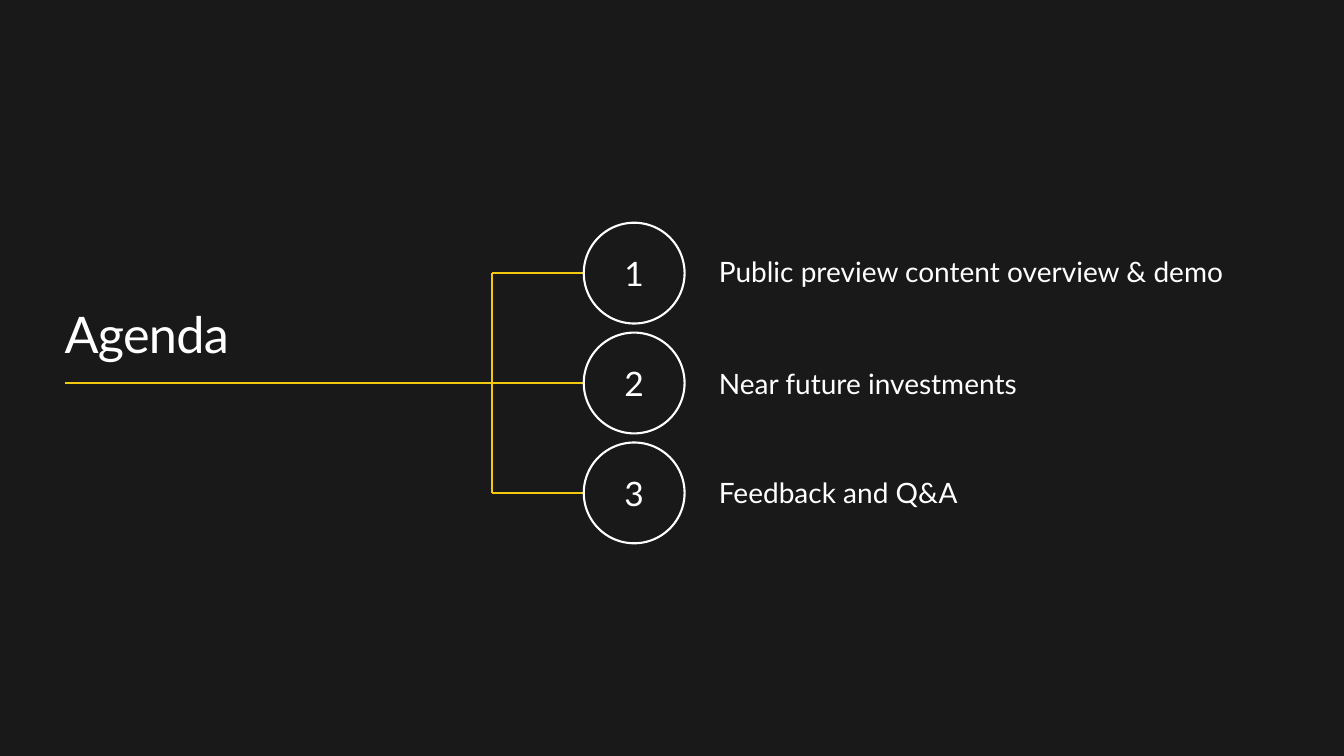
"""Build the agenda slide with a bracket leading to three numbered topics."""
from dataclasses import dataclass

from lxml.etree import SubElement
from pptx import Presentation
from pptx.dml.color import RGBColor
from pptx.enum.shapes import MSO_CONNECTOR, MSO_SHAPE
from pptx.enum.text import MSO_ANCHOR, MSO_AUTO_SIZE, PP_ALIGN
from pptx.oxml.ns import qn
from pptx.util import Inches, Pt


@dataclass(frozen=True)
class Theme:
    """Colours, font and sizes of the slide."""
    background: RGBColor = RGBColor(0x19, 0x19, 0x19)
    text: RGBColor = RGBColor(0xFF, 0xFF, 0xFF)
    accent: RGBColor = RGBColor(0xF2, 0xC8, 0x11)
    font: str = "Lato"
    title_size: Pt = Pt(36)
    number_size: Pt = Pt(24)
    topic_size: Pt = Pt(20)
    line_width: Pt = Pt(1.5)


THEME = Theme()
TOPICS = [
    ("Public preview content overview & demo", 2.52, 5.56),
    ("Near future investments", 3.64, 5),
    ("Feedback and Q&A", 4.72, 5),
]
MARGIN_LEFT, BRACKET_LEFT, CIRCLE_LEFT, TOPIC_LEFT = 0.64, 4.88, 5.79, 7.13
FIRST_CIRCLE_TOP, CIRCLE_SIZE, CIRCLE_PITCH = 2.21, 1, 1.09


def write(frame, text, size, align, inset_x=0, inset_y=0):
    """Fill a text frame with one formatted paragraph."""
    frame.margin_left = frame.margin_right = Inches(inset_x)
    frame.margin_top = frame.margin_bottom = Inches(inset_y)
    frame.word_wrap = True
    frame.text = text
    paragraph = frame.paragraphs[0]
    paragraph.alignment = align
    paragraph.font.name = THEME.font
    paragraph.font.size = size
    paragraph.font.color.rgb = THEME.text


def add_title(slide, text):
    """Place the slide title above the stem of the bracket."""
    title = slide.shapes.title
    title.left, title.top = Inches(MARGIN_LEFT), Inches(3.01)
    title.width, title.height = Inches(2.02), Inches(0.61)
    write(title.text_frame, text, THEME.title_size, PP_ALIGN.LEFT)
    title.text_frame.vertical_anchor = MSO_ANCHOR.TOP
    title.text_frame.auto_size = MSO_AUTO_SIZE.SHAPE_TO_FIT_TEXT
    title.text_frame.paragraphs[0].runs[0].font._element.set("spc", "-50")


def add_line(slide, x1, y1, x2, y2):
    """Draw one straight accent line."""
    line = slide.shapes.add_connector(
        MSO_CONNECTOR.STRAIGHT, Inches(x1), Inches(y1), Inches(x2), Inches(y2))
    line.line.color.rgb = THEME.accent
    line.line.width = THEME.line_width
    SubElement(line._element.spPr, qn("a:effectLst"))


def add_number(slide, number, top):
    """Draw an outlined circle holding a topic number."""
    circle = slide.shapes.add_shape(
        MSO_SHAPE.OVAL, Inches(CIRCLE_LEFT), Inches(top),
        Inches(CIRCLE_SIZE), Inches(CIRCLE_SIZE))
    circle.shadow.inherit = False
    circle.fill.background()
    circle.line.color.rgb = THEME.text
    circle.line.width = THEME.line_width
    write(circle.text_frame, str(number), THEME.number_size, PP_ALIGN.CENTER, 0.2, 0.16)
    circle.text_frame.vertical_anchor = MSO_ANCHOR.MIDDLE


def add_topic(slide, text, top, width):
    """Write a topic beside its number."""
    topic = slide.shapes.add_textbox(
        Inches(TOPIC_LEFT), Inches(top), Inches(width), Inches(0.34))
    write(topic.text_frame, text, THEME.topic_size, PP_ALIGN.LEFT)
    topic.text_frame.auto_size = MSO_AUTO_SIZE.SHAPE_TO_FIT_TEXT


def main():
    """Assemble and save the slide."""
    presentation = Presentation()
    presentation.slide_width, presentation.slide_height = Inches(13.33), Inches(7.5)
    slide = presentation.slides.add_slide(presentation.slide_layouts[5])
    slide.background.fill.solid()
    slide.background.fill.fore_color.rgb = THEME.background

    circle_tops = [FIRST_CIRCLE_TOP + row * CIRCLE_PITCH for row in range(len(TOPICS))]
    centers = [top + CIRCLE_SIZE / 2 for top in circle_tops]
    add_title(slide, "Agenda")
    add_line(slide, MARGIN_LEFT, centers[1], BRACKET_LEFT, centers[1])
    add_line(slide, BRACKET_LEFT, centers[0], BRACKET_LEFT, centers[-1])
    for number, (topic, circle_top, center) in enumerate(
            zip(TOPICS, circle_tops, centers), start=1):
        add_line(slide, BRACKET_LEFT, center, CIRCLE_LEFT, center)
        add_number(slide, number, circle_top)
        add_topic(slide, *topic)
    presentation.save("out.pptx")


if __name__ == "__main__":
    main()
